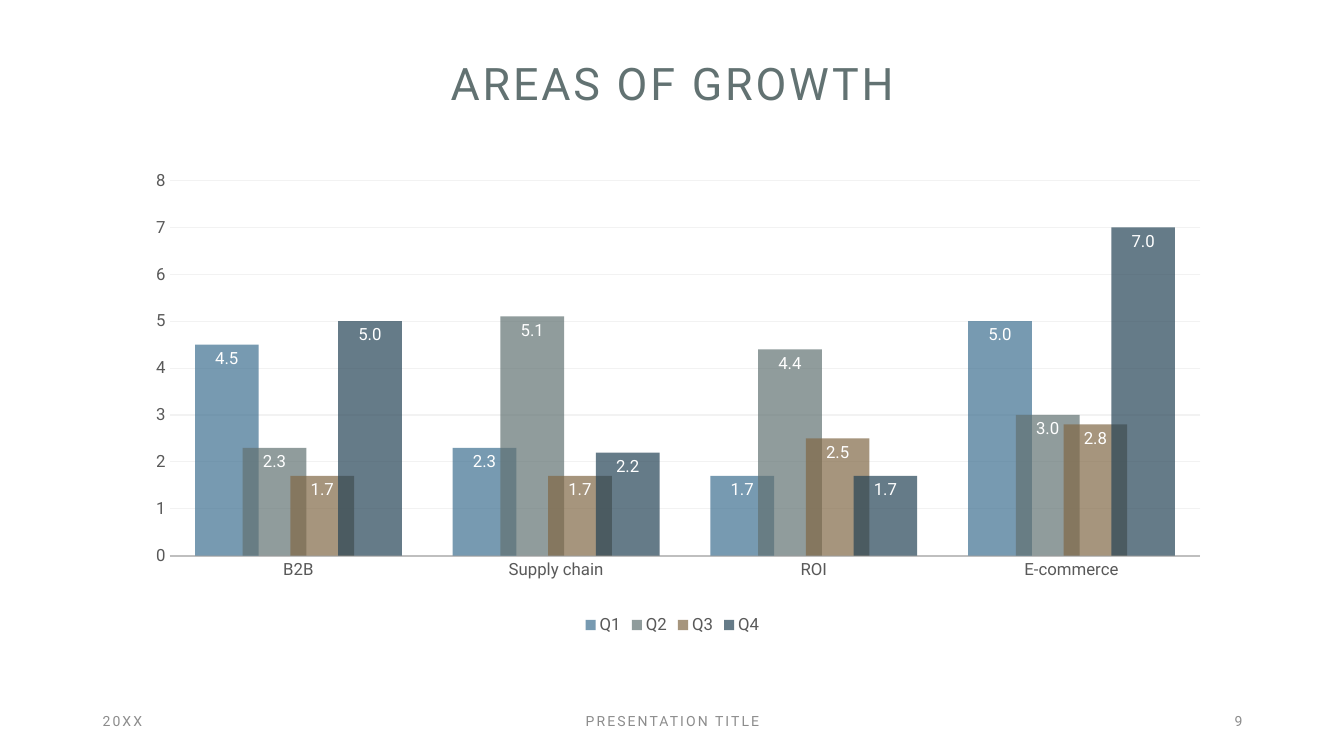
"""Build the "Areas of growth" slide with a clustered column chart."""
from dataclasses import dataclass

from lxml.etree import SubElement
from pptx import Presentation
from pptx.chart.chart import Chart
from pptx.chart.data import CategoryChartData
from pptx.dml.color import RGBColor
from pptx.enum.chart import XL_CHART_TYPE as ChartType
from pptx.enum.chart import XL_LABEL_POSITION as LabelPosition
from pptx.enum.chart import XL_LEGEND_POSITION as LegendPosition
from pptx.enum.chart import XL_TICK_MARK as TickMark
from pptx.enum.text import MSO_ANCHOR as Anchor
from pptx.enum.text import PP_ALIGN as Align
from pptx.oxml.ns import qn
from pptx.slide import Slide
from pptx.text.text import Font, TextFrame
from pptx.util import Inches, Pt

FONT_NAME = "Roboto"
SLATE = RGBColor(0x62, 0x72, 0x72)
BLUE = RGBColor(0x3E, 0x70, 0x90)
BROWN = RGBColor(0x81, 0x68, 0x46)
NAVY = RGBColor(0x25, 0x43, 0x56)
WHITE = RGBColor(0xFF, 0xFF, 0xFF)
FOOTER_GREY = RGBColor(0x8C, 0x8C, 0x8C)
TEXT_GREY = RGBColor(0x59, 0x59, 0x59)
AXIS_GREY = RGBColor(0xBF, 0xBF, 0xBF)
GRID_GREY = RGBColor(0xF2, 0xF2, 0xF2)

CATEGORIES = ("B2B", "Supply chain", "ROI", "E-commerce")
PLOT_LAYOUT = {"x": 0.039, "y": 0.03, "w": 0.945, "h": 0.794}
OPACITY = 70


@dataclass(frozen=True)
class Quarter:
    name: str
    values: tuple[float, ...]
    color: RGBColor


@dataclass(frozen=True)
class Footer:
    text: str
    left: float
    width: float
    alignment: Align


QUARTERS = (
    Quarter("Q1", (4.5, 2.3, 1.7, 5), BLUE),
    Quarter("Q2", (2.3, 5.1, 4.4, 3), SLATE),
    Quarter("Q3", (1.7, 1.7, 2.5, 2.8), BROWN),
    Quarter("Q4", (5, 2.2, 1.7, 7), NAVY),
)
FOOTERS = (
    Footer("20XX", 0.92, 3, Align.LEFT),
    Footer("PRESENTATION TITLE", 4.42, 4.5, Align.CENTER),
    Footer("9", 9.42, 3, Align.RIGHT),
)


def style_font(font: Font, size: float, color: RGBColor) -> None:
    font.name = FONT_NAME
    font.size = Pt(size)
    font.color.rgb = color


def write_line(frame: TextFrame, text: str, size: float, color: RGBColor,
               alignment: Align, spacing: float) -> None:
    frame.word_wrap = True
    frame.vertical_anchor = Anchor.MIDDLE
    frame.text = text
    paragraph = frame.paragraphs[0]
    paragraph.alignment = alignment
    style_font(paragraph.font, size, color)
    paragraph.runs[0].font._element.set("spc", str(round(spacing * 100)))


def add_title(slide: Slide) -> None:
    title = slide.shapes.title
    title.left, title.top = Inches(0.92), Inches(0.54)
    title.width, title.height = Inches(11.5), Inches(0.62)
    write_line(title.text_frame, "AREAS OF GROWTH", 32, SLATE, Align.CENTER, 2)
    title.text_frame.paragraphs[0].line_spacing = 0.9


def add_footer(slide: Slide, footer: Footer) -> None:
    box = slide.shapes.add_textbox(Inches(footer.left), Inches(6.95),
                                   Inches(footer.width), Inches(0.4))
    write_line(box.text_frame, footer.text, 10, FOOTER_GREY, footer.alignment, 1.5)


def place_plot(chart: Chart) -> None:
    plot_area = chart.element.find(".//" + qn("c:plotArea"))
    for layout in plot_area.findall(qn("c:layout")):
        plot_area.remove(layout)
    layout = SubElement(plot_area, qn("c:layout"))
    plot_area.insert(0, layout)
    manual = SubElement(layout, qn("c:manualLayout"))
    settings = {"layoutTarget": "inner", "xMode": "edge", "yMode": "edge", **PLOT_LAYOUT}
    for name, value in settings.items():
        SubElement(manual, qn(f"c:{name}")).set("val", str(value))


def style_axes(chart: Chart) -> None:
    for axis in (chart.category_axis, chart.value_axis):
        axis.major_tick_mark = axis.minor_tick_mark = TickMark.NONE
        style_font(axis.tick_labels.font, 12, TEXT_GREY)
    category_line = chart.category_axis.format.line
    category_line.color.rgb = AXIS_GREY
    category_line.width = Pt(1.25)
    value_axis = chart.value_axis
    value_axis.minimum_scale, value_axis.maximum_scale = 0, 8
    value_axis.major_unit = 1
    value_axis.format.line.fill.background()
    grid_line = value_axis.major_gridlines.format.line
    grid_line.color.rgb = GRID_GREY
    grid_line.width = Pt(0.75)


def style_series(chart: Chart) -> None:
    plot = chart.plots[0]
    plot.gap_width, plot.overlap = 80, 25
    plot.vary_by_categories = False
    for series, quarter in zip(plot.series, QUARTERS):
        series.invert_if_negative = False
        fill = series.format.fill
        fill.solid()
        fill.fore_color.rgb = quarter.color
        color = series._element.find(".//" + qn("a:srgbClr"))
        SubElement(color, qn("a:alpha")).set("val", str(OPACITY * 1000))
        labels = series.data_labels
        labels.show_value = True
        labels.position = LabelPosition.INSIDE_END
        labels.number_format = "#,##0.0"
        labels.number_format_is_linked = False
        style_font(labels.font, 12, WHITE)


def add_growth_chart(slide: Slide) -> None:
    data = CategoryChartData()
    data.categories = CATEGORIES
    for quarter in QUARTERS:
        data.add_series(quarter.name, quarter.values)
    chart = slide.shapes.add_chart(ChartType.COLUMN_CLUSTERED, Inches(1.26), Inches(1.65),
                                   Inches(10.82), Inches(4.69), data).chart
    chart.has_title = False
    chart.font.name = FONT_NAME
    chart.font.size = Pt(10)
    chart.has_legend = True
    chart.legend.position = LegendPosition.BOTTOM
    chart.legend.include_in_layout = False
    style_font(chart.legend.font, 12, TEXT_GREY)
    style_axes(chart)
    style_series(chart)
    place_plot(chart)


def main() -> None:
    presentation = Presentation()
    presentation.slide_width = Inches(13.33)
    presentation.slide_height = Inches(7.5)
    slide = presentation.slides.add_slide(presentation.slide_layouts.get_by_name("Title Only"))
    add_title(slide)
    for footer in FOOTERS:
        add_footer(slide, footer)
    add_growth_chart(slide)
    presentation.save("out.pptx")


if __name__ == "__main__":
    main()
